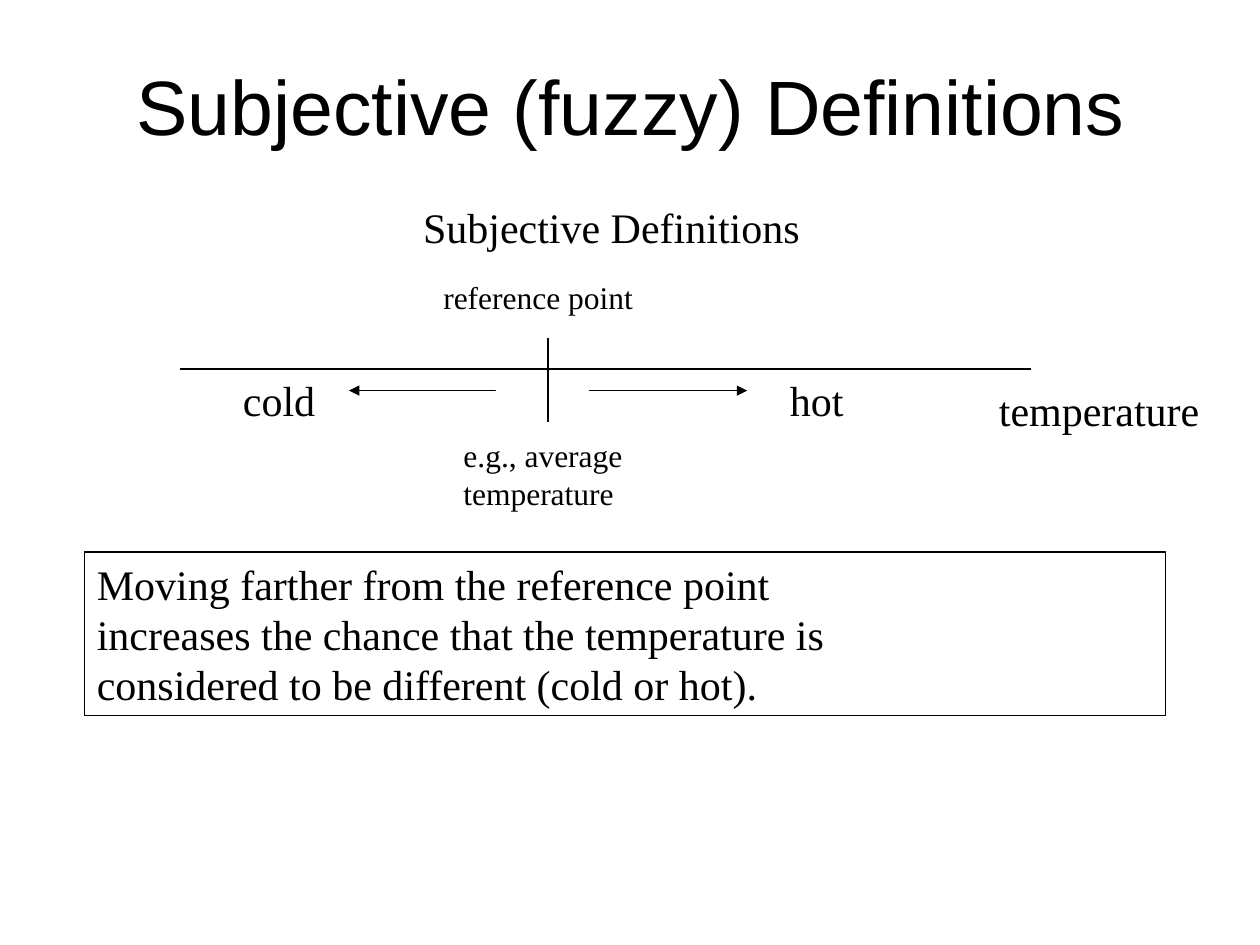
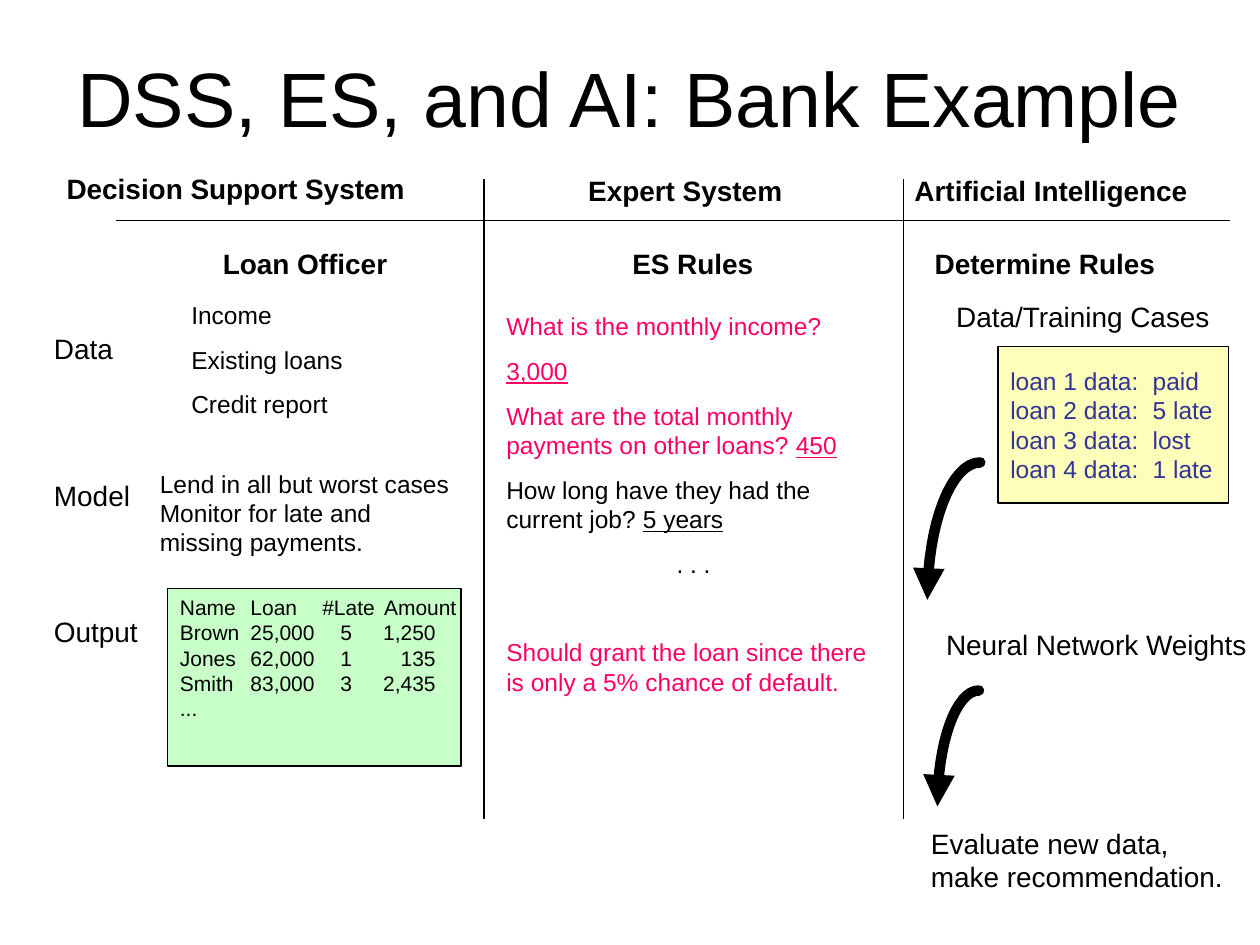
"""Build two slides: fuzzy definitions, and a bank example of DSS, ES and AI."""
from lxml.etree import SubElement
from pptx import Presentation
from pptx.dml.color import RGBColor
from pptx.enum.shapes import MSO_CONNECTOR, MSO_SHAPE
from pptx.enum.text import MSO_ANCHOR, MSO_AUTO_SIZE, PP_ALIGN
from pptx.oxml.ns import qn
from pptx.util import Inches, Pt

BLACK, PINK, NAVY = "000000", "FF0066", "333399"
GREEN, YELLOW = "C8FEC8", "FCFEB9"
SANS, SERIF = "Arial", "Times New Roman"
UNDERLINED = {"underline": True}
PINK_RUN = {"color": PINK}

FUZZY_TITLE = ("Subjective (fuzzy) Definitions", (0.51, 0.21, 9, 1.25))
FUZZY_LABELS = [
    (["Subjective Definitions"], (3.26, 1.55, 3.19, 0.5), 24),
    (["reference point"], (3.42, 2.16, 1.71, 0.4), 18),
    (["e.g., average", "temperature"], (3.58, 3.41, 1.47, 0.7), 18),
    (["cold"], (1.83, 2.92, 0.78, 0.5), 24),
    (["hot"], (6.17, 2.92, 0.63, 0.5), 24),
    (["temperature"], (7.83, 3, 1.79, 0.5), 24),
]
SCALE_LINES = [(1.43, 2.93, 8.18, 2.93), (4.35, 2.68, 4.35, 3.35)]
SCALE_ARROWS = [(3.93, 3.1, 2.77, 3.1), (4.68, 3.1, 5.93, 3.1)]
CONCLUSION = [
    "Moving farther from the reference point",
    "increases the chance that the temperature is",
    "considered to be different (cold or hot).",
]

BANK_TITLE = ("DSS, ES, and AI: Bank Example", (0, 0.3, 10, 0.93))
HEADINGS = [
    ("Decision Support System", 0.43, 1.31, 2.89),
    ("Expert System", 4.57, 1.33, 1.74),
    ("Artificial Intelligence", 7.16, 1.33, 2.37),
    ("Loan Officer", 1.67, 1.91, 1.51),
    ("ES Rules", 4.92, 1.91, 1.16),
    ("Determine Rules", 7.32, 1.91, 1.95),
]
LABELS = [
    ("Data", 0.33, 2.58, 0.67),
    ("Model", 0.33, 3.75, 0.81),
    ("Output", 0.33, 4.83, 0.87),
    ("Data/Training Cases", 7.49, 2.33, 2.22),
    ("Neural Network Weights", 7.41, 4.93, 2.59),
]
EVALUATION = ["Evaluate new data,", "make recommendation."]
LOAN_DATA = ["Income", "Existing loans", "Credit report"]
LENDING_MODEL = ["Lend in all but worst cases", "Monitor for late and missing payments."]
DIALOGUE = [
    [("What is the monthly income?", PINK_RUN)],
    [("3,000", PINK_RUN | UNDERLINED)],
    [("What are the total monthly payments on other loans? ", PINK_RUN),
     ("450", PINK_RUN | UNDERLINED)],
    [("How long have they had the current job? ", {}), ("5 years", UNDERLINED)],
    ". . .",
    [("Should grant the loan since there is only a 5% chance of default.", PINK_RUN)],
]
LOAN_HEADER = ("Name", "Loan", "#Late", "Amount")
LOAN_ROWS = [
    ("Brown", "25,000", "5", "1,250"),
    ("Jones", "62,000", "1", "135"),
    ("Smith", "83,000", "3", "2,435"),
    ("...",),
]
HEADER_TABS = [(0.56, "l"), (1.13, "l"), (1.62, "l")]
ROW_TABS = [(0.56, "l"), (1.32, "ctr"), (2.03, "r")]
TRAINING_CASES = ["paid", "5 late", "lost", "1 late"]
DIVIDERS = [(0.92, 1.75, 9.76, 1.75), (3.84, 1.42, 3.84, 6.5), (7.17, 1.42, 7.17, 6.5)]
CURVED_ARROWS = [(7.36, 4.76, 0.42, 1.09), (7.44, 6.4, 0.33, 0.92)]


def rgb(color):
    """Turn a hex string into a colour."""
    return RGBColor.from_string(color)


def inches(values):
    """Turn numbers into lengths."""
    return [Inches(value) for value in values]


def write(shape, lines, size=16, font=SANS, color=BLACK, bold=False, align=PP_ALIGN.LEFT,
          anchor=MSO_ANCHOR.TOP, wrap=False, before=0, tabs=()):
    """Fill a shape with paragraphs, each a string or a list of formatted runs."""
    frame = shape.text_frame
    frame.word_wrap = wrap
    frame.vertical_anchor = anchor
    for index, line in enumerate(lines):
        paragraph = frame.add_paragraph() if index else frame.paragraphs[0]
        paragraph.alignment = align
        if index and before:
            paragraph.space_before = Pt(before)
        if tabs:
            stops = SubElement(paragraph._p.get_or_add_pPr(), qn("a:tabLst"))
            for position, side in tabs[min(index, len(tabs) - 1)]:
                SubElement(stops, qn("a:tab"), pos=str(Inches(position)), algn=side)
        for text, extra in [(line, {})] if isinstance(line, str) else line:
            run = paragraph.add_run()
            run.text = text
            run.font.name, run.font.size, run.font.bold = font, Pt(size), bold
            run.font.underline = extra.get("underline", False)
            run.font.color.rgb = rgb(extra.get("color", color))
    return frame.paragraphs


def add_label(slide, lines, box, **style):
    """Add a text box that fits its text."""
    label = slide.shapes.add_textbox(*inches(box))
    label.text_frame.auto_size = MSO_AUTO_SIZE.SHAPE_TO_FIT_TEXT
    return write(label, lines, **style)


def add_panel(slide, lines, box, fill=None, **style):
    """Add an outlined rectangle with text."""
    panel = slide.shapes.add_shape(MSO_SHAPE.RECTANGLE, *inches(box))
    panel.shadow.inherit = False
    if fill:
        panel.fill.solid()
        panel.fill.fore_color.rgb = rgb(fill)
    else:
        panel.fill.background()
    draw_outline(panel)
    write(panel, lines, **style)


def draw_outline(shape, width=1, arrow_end=None):
    """Draw a black line, with an arrowhead at the named end."""
    shape.line.color.rgb = rgb(BLACK)
    shape.line.width = Pt(width)
    if arrow_end:
        outline = shape.element.spPr.find(qn("a:ln"))
        SubElement(outline, qn(f"a:{arrow_end}"), type="triangle")
        outline.set("cap", "rnd")


def add_line(slide, ends, arrow_end=None):
    """Add a straight line."""
    line = slide.shapes.add_connector(MSO_CONNECTOR.STRAIGHT, *inches(ends))
    draw_outline(line, arrow_end=arrow_end)
    SubElement(line.element.spPr, qn("a:effectLst"))


def add_curved_arrow(slide, x, y, width, height, steps=16):
    """Add a thick quarter-ellipse arrow whose tip is at x, y."""
    controls = [(x, y), (x, y - 0.55 * height), (x + 0.45 * width, y - height),
                (x + width, y - height)]
    points = []
    for step in range(steps + 1):
        t = step / steps
        weights = [(1 - t) ** 3, 3 * t * (1 - t) ** 2, 3 * t ** 2 * (1 - t), t ** 3]
        points.append(tuple(Inches(sum(w * c[axis] for w, c in zip(weights, controls)))
                            for axis in (0, 1)))
    builder = slide.shapes.build_freeform(*points[0])
    builder.add_line_segments(points[1:], close=False)
    curve = builder.convert_to_shape()
    curve.shadow.inherit = False
    curve.fill.background()
    draw_outline(curve, width=6, arrow_end="headEnd")


def add_slide(deck, heading, box):
    """Add a title-only slide with its title in place."""
    slide = deck.slides.add_slide(deck.slide_layouts[5])
    title = slide.shapes.title
    title.left, title.top, title.width, title.height = inches(box)
    title.text_frame.auto_size = MSO_AUTO_SIZE.NONE
    write(title, [heading], size=44, align=PP_ALIGN.CENTER, anchor=MSO_ANCHOR.MIDDLE, wrap=True)
    return slide


def build_fuzzy(deck):
    """Build the slide on subjective definitions."""
    slide = add_slide(deck, *FUZZY_TITLE)
    for lines, box, size in FUZZY_LABELS:
        add_label(slide, lines, box, size=size, font=SERIF)
    for ends in SCALE_LINES:
        add_line(slide, ends)
    for ends in SCALE_ARROWS:
        add_line(slide, ends, "tailEnd")
    add_panel(slide, CONCLUSION, (0.67, 4.38, 8.58, 1.3), size=24, font=SERIF, wrap=True)


def build_bank(deck):
    """Build the slide on the bank example."""
    slide = add_slide(deck, *BANK_TITLE)
    for ends in DIVIDERS:
        add_line(slide, ends)
    for entries, bold in ((HEADINGS, True), (LABELS, False)):
        for text, left, top, width in entries:
            add_label(slide, [text], (left, top, width, 0.37), bold=bold)
    add_label(slide, EVALUATION, (7.29, 6.51, 2.52, 0.63))
    add_label(slide, LOAN_DATA, (1.42, 2.33, 2.24, 1.04), size=14, wrap=True, before=8.8)
    add_label(slide, LENDING_MODEL, (1.17, 3.67, 2.58, 0.8), size=14, wrap=True)
    dialogue = add_label(slide, DIALOGUE, (3.92, 2.42, 3.17, 3.17), size=14, wrap=True, before=8.8)
    dialogue[-2].alignment = PP_ALIGN.CENTER
    dialogue[-1].space_before = Pt(33.7)
    loans = ["\t".join(row) for row in [LOAN_HEADER, *LOAN_ROWS]]
    add_panel(slide, loans, (1.33, 4.67, 2.33, 1.41), fill=GREEN, size=12,
              tabs=[HEADER_TABS, ROW_TABS])
    cases = [f"loan {number} data:\t{result}" for number, result in enumerate(TRAINING_CASES, 1)]
    add_panel(slide, cases, (7.92, 2.75, 1.83, 1.24), fill=YELLOW, size=14, color=NAVY,
              anchor=MSO_ANCHOR.MIDDLE, tabs=[[(1.13, "l")]])
    for arrow in CURVED_ARROWS:
        add_curved_arrow(slide, *arrow)


def main():
    """Build and save the deck."""
    deck = Presentation()
    deck.slide_width, deck.slide_height = Inches(10), Inches(7.5)
    build_fuzzy(deck)
    build_bank(deck)
    deck.save("out.pptx")


if __name__ == "__main__":
    main()
